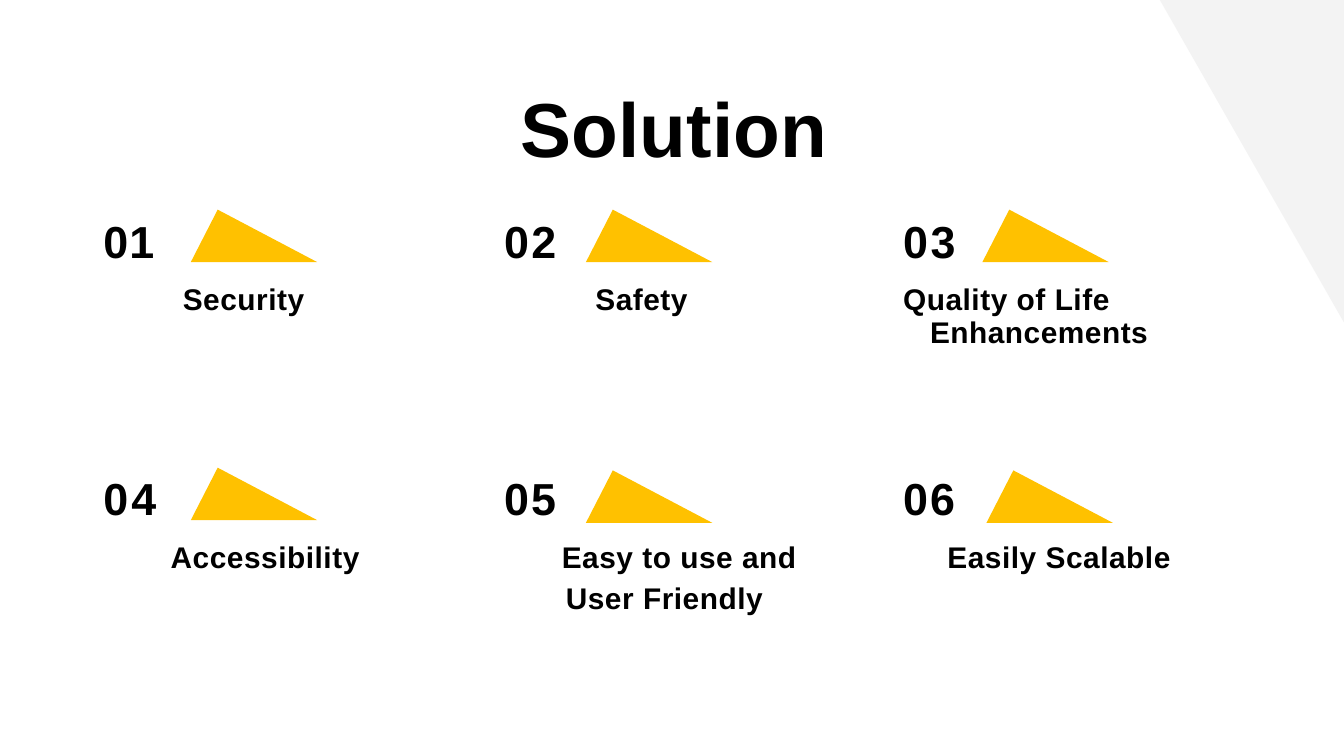
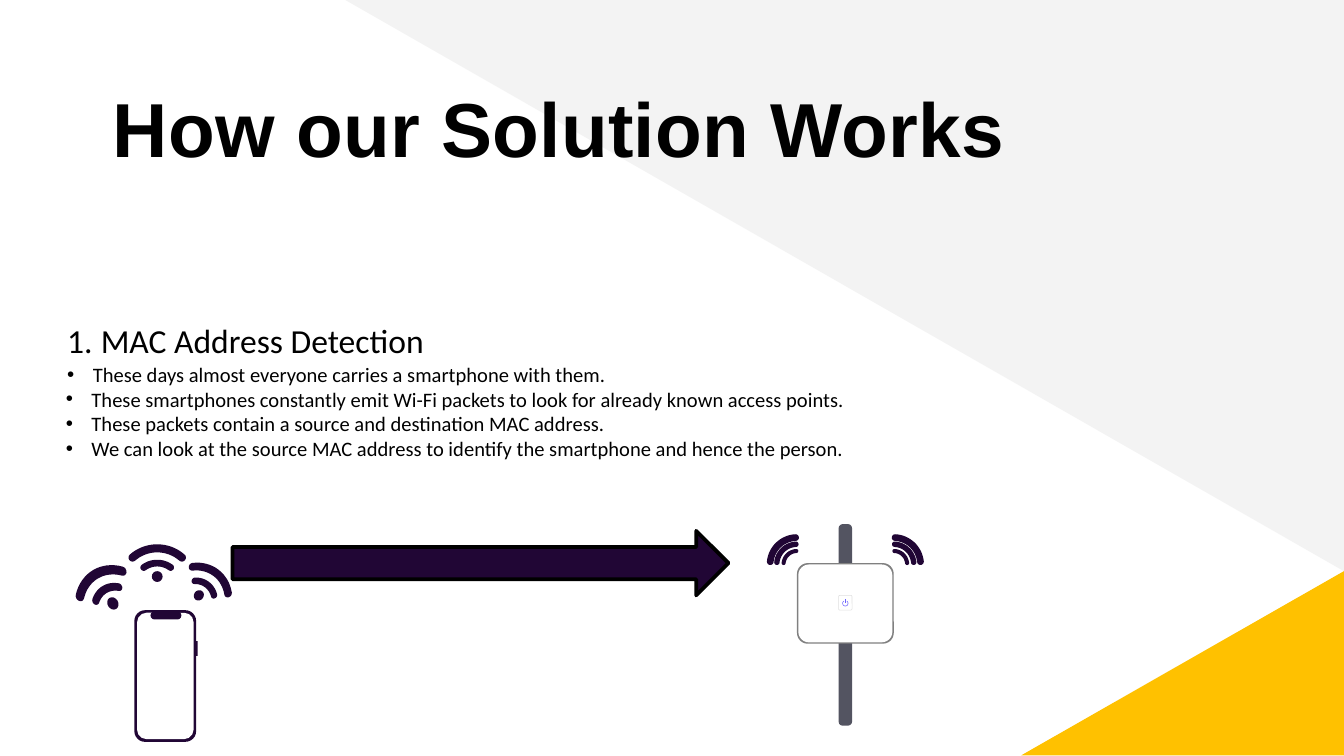
import math

import pptx
import pptx.dml.color
import pptx.enum.shapes
import pptx.oxml.xmlchemy
import pptx.util
from pptx.util import Inches

BLACK, WHITE, YELLOW, PALE = "000000", "FFFFFF", "FFC100", "F3F3F3"
PURPLE, SLATE, GREY, LIGHT, VIOLET = "210635", "535461", "808080", "E0E0E0", "6C63FF"
PRESETS = pptx.enum.shapes.MSO_SHAPE


def color(hex_text):
    return pptx.dml.color.RGBColor.from_string(hex_text)


def paint(shape, fill=None, line=None, width=1):
    shape.shadow.inherit = False
    if fill:
        shape.fill.solid()
        shape.fill.fore_color.rgb = color(fill)
    else:
        shape.fill.background()
    if line:
        shape.line.color.rgb = color(line)
        shape.line.width = pptx.util.Pt(width)
    else:
        shape.line.fill.background()


def add_outline(slide, points, fill=None, line=None, width=1, close=True):
    """Draw a freeform through points given in inches."""
    scaled = [(Inches(x), Inches(y)) for x, y in points]
    builder = slide.shapes.build_freeform(*scaled[0])
    builder.add_line_segments(scaled[1:], close=close)
    paint(builder.convert_to_shape(), fill, line, width)


def add_preset(slide, preset, left, top, width, height, fill, radius=None, line=None, line_width=1):
    shape = slide.shapes.add_shape(preset, Inches(left), Inches(top), Inches(width), Inches(height))
    if radius is not None:
        shape.adjustments[0] = radius / min(width, height)
    paint(shape, fill, line, line_width)


def add_rounded(slide, left, top, width, height, fill, radius, line=None, line_width=1):
    add_preset(slide, PRESETS.ROUNDED_RECTANGLE, left, top, width, height, fill, radius, line, line_width)


def add_run(paragraph, text, size, font="Arial", bold=True, spacing=0.0):
    run = paragraph.add_run()
    run.text = text
    run.font.size = pptx.util.Pt(size)
    run.font.name = font
    run.font.bold = bold
    run.font.color.rgb = color(BLACK)
    if spacing:
        run.font._element.set("spc", str(round(spacing * 100)))


def set_indent(paragraph, margin, first_line=0.0, before=0.0):
    properties = paragraph._p.get_or_add_pPr()
    properties.set("marL", str(Inches(margin)))
    properties.set("indent", str(Inches(first_line)))
    paragraph.space_before = pptx.util.Pt(before)


def set_bullet(paragraph, tag, **attributes):
    bullet = pptx.oxml.xmlchemy.OxmlElement(tag)
    for name, value in attributes.items():
        bullet.set(name, value)
    paragraph._p.get_or_add_pPr().append(bullet)


def add_text_frame(slide, left, top, width, height):
    box = slide.shapes.add_textbox(Inches(left), Inches(top), Inches(width), Inches(height))
    frame = box.text_frame
    frame.word_wrap = True
    frame.margin_left = frame.margin_right = frame.margin_bottom = 0
    frame.margin_top = Inches(0.01)
    return frame


def add_title(slide, text, left, width):
    paragraph = add_text_frame(slide, left, 0.59, width, 0.7).paragraphs[0]
    set_indent(paragraph, 0.01, before=1)
    add_run(paragraph, text, 41, spacing=0.1)


def fill_cell(cell, lines, top, size, before, spacing):
    """Write (text, margin, first-line indent) lines into an unfilled cell."""
    cell.fill.background()
    cell.margin_left = cell.margin_right = cell.margin_bottom = 0
    cell.margin_top = Inches(top)
    for index, (text, margin, first_line) in enumerate(lines):
        frame = cell.text_frame
        paragraph = frame.add_paragraph() if index else frame.paragraphs[0]
        set_indent(paragraph, margin, first_line, before)
        add_run(paragraph, text, size, spacing=spacing)


def add_benefits(slide, left, top):
    column_widths = [2.53, 2.97, 2.53]
    row_heights = [0.5, 0.59, 0.58, 0.75, 0.66, 0.33]
    number_spacing = [0.6, 1.4, 1.4, 1.6, 1.3, 1.2]
    labels = [
        [("Security", 0.62, 0)],
        [("Safety", 1.16, 0)],
        [("Quality of Life Enhancements", 0.68, -0.2)],
        [("Accessibility", 0.53, 0)],
        [("Easy to use and", 0.91, 0), ("User Friendly", 0.94, 0)],
        [("Easily Scalable", 0.81, 0)],
    ]
    table = slide.shapes.add_table(
        len(row_heights), len(column_widths), Inches(left), Inches(top),
        Inches(sum(column_widths)), Inches(sum(row_heights))).table
    table.first_row = table.horz_banding = False
    for column, width in zip(table.columns, column_widths):
        column.width = Inches(width)
    for row, height in zip(table.rows, row_heights):
        row.height = Inches(height)
    for index, label in enumerate(labels):
        band, column = divmod(index, len(column_widths))
        number = [(f"{index + 1:02}", 0.48 if column else 0.03, 0)]
        number_top, number_before = [(0.07, 4.7), (0.31, 22.4)][band]
        row = band * 3
        fill_cell(table.cell(row, column), number, number_top, 24, number_before, number_spacing[index])
        fill_cell(table.cell(row + 1, column), label, 0.06, 16, 4.1, 0.3)
        fill_cell(table.cell(row + 2, column), [], 0, 16, 0, 0)


def add_marker(slide, left, top):
    add_outline(slide, [(left + 0.94, top + 0.39), (left, top + 0.39), (left + 0.2, top)], YELLOW)


def build_solution(slide):
    add_outline(slide, [(10, 2.4), (8.63, 0), (10, 0)], PALE)
    add_title(slide, "Solution", 3.86, 2.33)
    add_benefits(slide, 0.74, 1.55)
    for left, top in [(1.42, 1.56), (4.36, 1.56), (7.31, 1.56), (1.42, 3.48), (4.36, 3.5), (7.34, 3.5)]:
        add_marker(slide, left, top)


def add_steps(slide, left, top):
    points = [
        "These days almost everyone carries a smartphone with them.",
        "These smartphones constantly emit Wi-Fi packets to look for already known access points.",
        "These packets contain a source and destination MAC address.",
        "We can look at the source MAC address to identify the smartphone and hence the person.",
    ]
    frame = add_text_frame(slide, left, top, 7.85, 1.83)
    heading = frame.paragraphs[0]
    set_indent(heading, 0.26, -0.25, 1)
    set_bullet(heading, "a:buAutoNum", type="arabicPeriod")
    add_run(heading, "MAC Address Detection", 18, "Calibri", False)
    for index, text in enumerate(points):
        paragraph = frame.add_paragraph()
        set_indent(paragraph, 0.19 if index else 0.2, -0.19, 0 if index else 1)
        set_bullet(paragraph, "a:buFont", typeface="Arial")
        set_bullet(paragraph, "a:buChar", char="•")
        add_run(paragraph, text, 11, "Calibri", False)


def arc_points(radius, start, end, center=(0, 0), steps=16):
    """Points on an arc, with degrees counted clockwise from the top."""
    angles = [math.radians(start + (end - start) * step / steps) for step in range(steps + 1)]
    return [(center[0] + radius * math.sin(a), center[1] - radius * math.cos(a)) for a in angles]


def band_points(radius, thickness, start, end):
    """Outline of an arc band with round ends, centred on the origin."""
    half = thickness / 2
    middle_line = arc_points(radius, start, end)
    return (arc_points(radius + half, start, end)
            + arc_points(half, end, end + 180, middle_line[-1], 8)
            + arc_points(radius - half, end, start)
            + arc_points(half, start + 180, start + 360, middle_line[0], 8))


def add_wifi(slide, x, y, x_scale, y_scale, rotation):
    """Draw a wireless mark whose dot is centred on x, y."""
    cosine, sine = math.cos(math.radians(rotation)), math.sin(math.radians(rotation))
    arcs = [band_points(0.28, 0.06, -41, 41), band_points(0.17, 0.05, -36, 36)]
    outlines = [[(px, py + 0.07) for px, py in arc] for arc in arcs] + [arc_points(0.04, 0, 360)]
    for outline in outlines:
        scaled = [(px * x_scale, py * y_scale) for px, py in outline]
        add_outline(slide, [(x + px * cosine - py * sine, y + px * sine + py * cosine)
                            for px, py in scaled], PURPLE)


def add_phone(slide, left, top):
    add_rounded(slide, left, top, 0.46, 0.98, PURPLE, 0.08)
    add_preset(slide, PRESETS.RECTANGLE, left + 0.45, top + 0.23, 0.02, 0.11, PURPLE)
    add_rounded(slide, left + 0.02, top + 0.02, 0.42, 0.94, WHITE, 0.07)
    add_rounded(slide, left + 0.12, top + 0.01, 0.23, 0.06, PURPLE, 0.03)
    add_wifi(slide, left + 0.17, top - 0.25, 1, 1, 0)
    add_wifi(slide, left - 0.16, top - 0.05, 1, 1.2, -31)
    add_wifi(slide, left + 0.48, top - 0.11, 0.9, 1, 37)


def add_access_point(slide, left, top):
    middle = left + 0.6
    for side in (1, -1):
        for radius, thickness in [(0.2, 0.05), (0.15, 0.04), (0.1, 0.03)]:
            add_outline(slide, [(middle + side * (0.36 + x), top + 0.3 + y)
                                for x, y in band_points(radius, thickness, 3, 84)], PURPLE)
    add_rounded(slide, middle - 0.05, top, 0.1, 1.5, SLATE, 0.03)
    add_rounded(slide, middle - 0.36, top + 0.29, 0.72, 0.6, GREY, 0.08)
    add_rounded(slide, middle - 0.35, top + 0.3, 0.7, 0.58, WHITE, 0.08)
    add_rounded(slide, middle - 0.05, top + 0.53, 0.1, 0.11, WHITE, 0.01, LIGHT, 0.3)
    stem = slide.shapes.add_connector(
        pptx.enum.shapes.MSO_CONNECTOR.STRAIGHT,
        Inches(middle), Inches(top + 0.56), Inches(middle), Inches(top + 0.59))
    stem.line.color.rgb = color(VIOLET)
    stem.line.width = pptx.util.Pt(0.28)
    stem._element.spPr.append(pptx.oxml.xmlchemy.OxmlElement("a:effectLst"))
    add_outline(slide, arc_points(0.02, 35, 325, (middle, top + 0.59)),
                line=VIOLET, width=0.28, close=False)


def build_how_it_works(slide):
    add_outline(slide, [(10, 4.25), (2.57, 0), (10, 0)], PALE)
    add_outline(slide, [(10, 5.62), (7.6, 5.62), (10, 4.25)], YELLOW)
    add_title(slide, "How our Solution Works", 0.83, 6.72)
    add_steps(slide, 0.49, 2.37)
    add_phone(slide, 1, 4.54)
    add_access_point(slide, 5.69, 3.9)
    add_preset(slide, PRESETS.RIGHT_ARROW, 1.73, 3.95, 3.69, 0.48, PURPLE, line=BLACK, line_width=2)


def main():
    presentation = pptx.Presentation()
    presentation.slide_width = Inches(10)
    presentation.slide_height = Inches(10) * 9 // 16
    for build in (build_solution, build_how_it_works):
        build(presentation.slides.add_slide(presentation.slide_layouts[6]))
    presentation.save("out.pptx")


if __name__ == "__main__":
    main()
